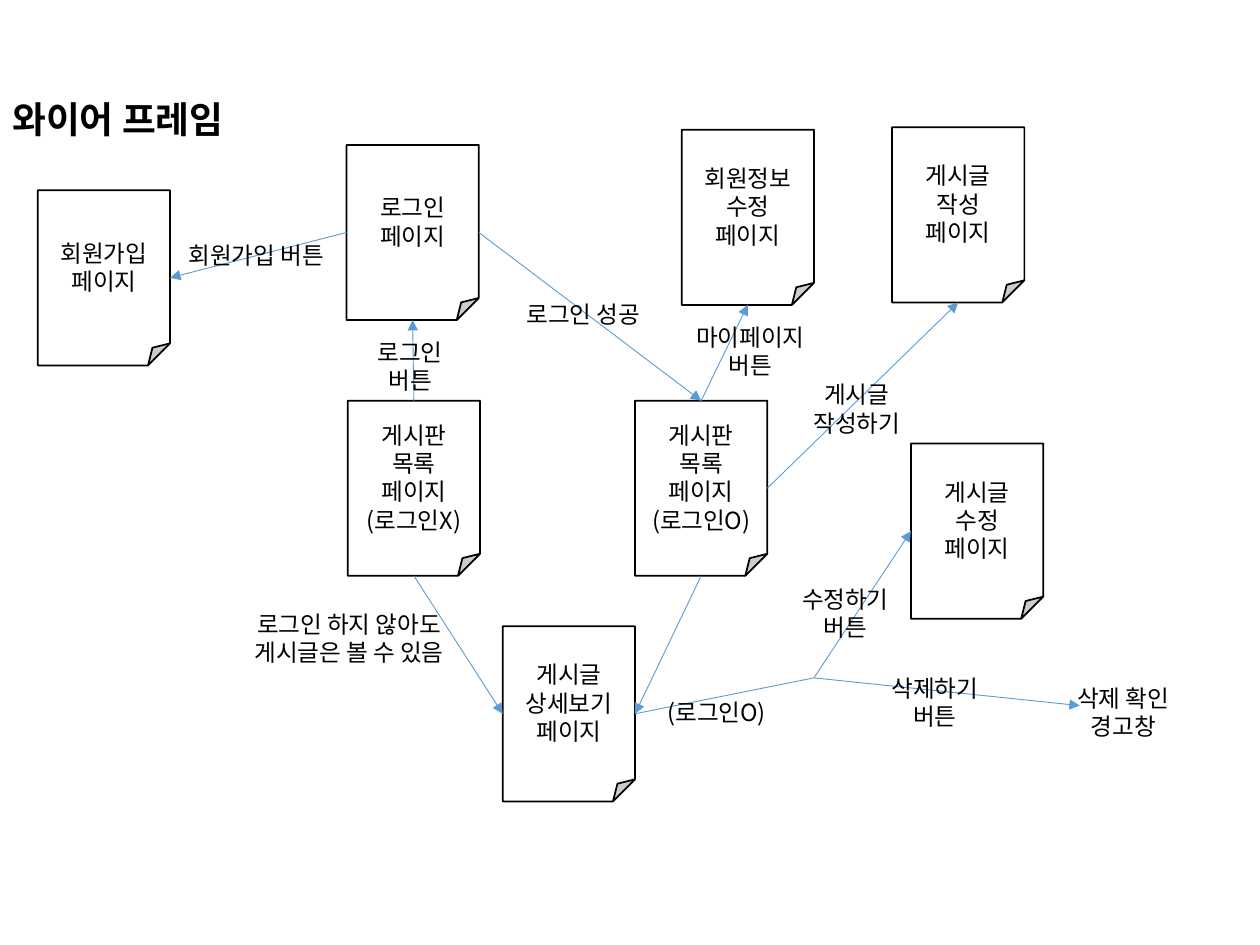
from pptx import Presentation
from pptx.dml.color import RGBColor as RGB
from pptx.enum.shapes import MSO_CONNECTOR as LINK, MSO_SHAPE as SHAPE
from pptx.enum.text import MSO_ANCHOR as ANCHOR, PP_ALIGN as ALIGN
from pptx.oxml.ns import qn
from pptx.util import Inches, Pt
from lxml.etree import SubElement

BLACK = RGB(0, 0, 0)
WHITE = RGB(255, 255, 255)
BLUE = RGB(0x5B, 0x9B, 0xD5)
FONT = "Noto Sans CJK KR"
PAGE_W, PAGE_H = Inches(1.05), Inches(1.39)
TOP, LEFT, BOTTOM, RIGHT = range(4)

deck = Presentation()
deck.slide_width, deck.slide_height = Inches(10), Inches(7.5)
slide = deck.slides.add_slide(deck.slide_layouts[6])


def write(frame, text, size=13.5, bold=False, align=ALIGN.CENTER):
    """Fill a text frame, one paragraph for each line of text."""
    frame.word_wrap = True
    frame.text = text
    for para in frame.paragraphs:
        para.alignment = align
        font = para.font
        font.name, font.size, font.bold = FONT, Pt(size), bold
        font.color.rgb = BLACK
        SubElement(font._element, qn("a:ea"), typeface=FONT)


def link(start, end, arrow=True):
    """Draw a line between two ends, each a (page, side) or an (x, y) in inches."""
    points = [(0, 0) if isinstance(e[0], str) else map(Inches, e)
              for e in (start, end)]
    line = slide.shapes.add_connector(LINK.STRAIGHT, *points[0], *points[1])
    if isinstance(start[0], str):
        line.begin_connect(pages[start[0]], start[1])
    if isinstance(end[0], str):
        line.end_connect(pages[end[0]], end[1])
    line.line.color.rgb = BLUE
    line.line.width = Pt(0.5)
    if arrow:
        SubElement(line.line._get_or_add_ln(), qn("a:tailEnd"), type="triangle")
    SubElement(line._element.spPr, qn("a:effectLst"))


# Pages of the site
pages = {}
for name, x, y, text in [
    ("guest", 2.76, 3.18, "게시판\n목록\n페이지\n(로그인X)"),
    ("join", 0.3, 1.51, "회원가입\n페이지"),
    ("login", 2.75, 1.15, "로그인\n페이지"),
    ("member", 5.41, 1.03, "회원정보\n수정\n페이지"),
    ("detail", 3.99, 4.97, "게시글\n상세보기\n페이지"),
    ("board", 5.04, 3.18, "게시판\n목록\n페이지\n(로그인O)"),
    ("post", 7.08, 1.01, "게시글\n작성\n페이지"),
    ("edit", 7.23, 3.52, "게시글\n수정\n페이지"),
]:
    page = slide.shapes.add_shape(SHAPE.FOLDED_CORNER, Inches(x), Inches(y),
                                  PAGE_W, PAGE_H)
    page.shadow.inherit = False
    page.fill.solid()
    page.fill.fore_color.rgb = WHITE
    page.line.color.rgb = BLACK
    page.line.width = Pt(1)
    frame = page.text_frame
    frame.vertical_anchor = ANCHOR.MIDDLE
    frame.margin_left = frame.margin_right = Inches(0.07)
    frame.margin_top = frame.margin_bottom = Inches(0.04)
    write(frame, text)
    pages[name] = page

# Moves between pages
fork = (6.46, 5.38)
for start, end in [
    (("guest", TOP), ("login", BOTTOM)),
    (("login", LEFT), ("join", RIGHT)),
    (("login", RIGHT), ("board", TOP)),
    (("guest", BOTTOM), ("detail", LEFT)),
    (("board", BOTTOM), ("detail", RIGHT)),
    (("board", RIGHT), ("post", BOTTOM)),
    (("board", TOP), ("member", BOTTOM)),
    (fork, ("edit", LEFT)),
    (fork, (8.57, 5.6)),
]:
    link(start, end)
link(("detail", RIGHT), fork, arrow=False)

# Labels of the moves
for x, y, w, text, align in [
    (2.84, 2.63, 0.83, "로그인 버튼", ALIGN.CENTER),
    (1.4, 1.86, 1.4, "회원가입 버튼", ALIGN.LEFT),
    (1.81, 4.79, 1.92, "로그인 하지 않아도\n게시글은 볼 수 있음", ALIGN.CENTER),
    (4.08, 2.33, 1.22, "로그인 성공", ALIGN.LEFT),
    (5.38, 2.51, 1.15, "마이페이지\n버튼", ALIGN.CENTER),
    (6.32, 2.97, 0.96, "게시글\n작성하기", ALIGN.CENTER),
    (5.2, 5.49, 1.03, "(로그인O)", ALIGN.LEFT),
    (6.23, 4.59, 0.96, "수정하기\n버튼", ALIGN.CENTER),
    (6.94, 5.3, 0.96, "삭제하기\n버튼", ALIGN.CENTER),
    (8.4, 5.38, 1.03, "삭제 확인\n경고창", ALIGN.CENTER),
]:
    tall = 0.33 if align == ALIGN.LEFT else 0.56
    box = slide.shapes.add_textbox(*map(Inches, (x, y, w, tall)))
    write(box.text_frame, text, align=align)

title = slide.shapes.add_textbox(0, Inches(0.72), Inches(2.07), Inches(0.45))
write(title.text_frame, "와이어 프레임", 21, True, ALIGN.LEFT)

deck.save("out.pptx")
